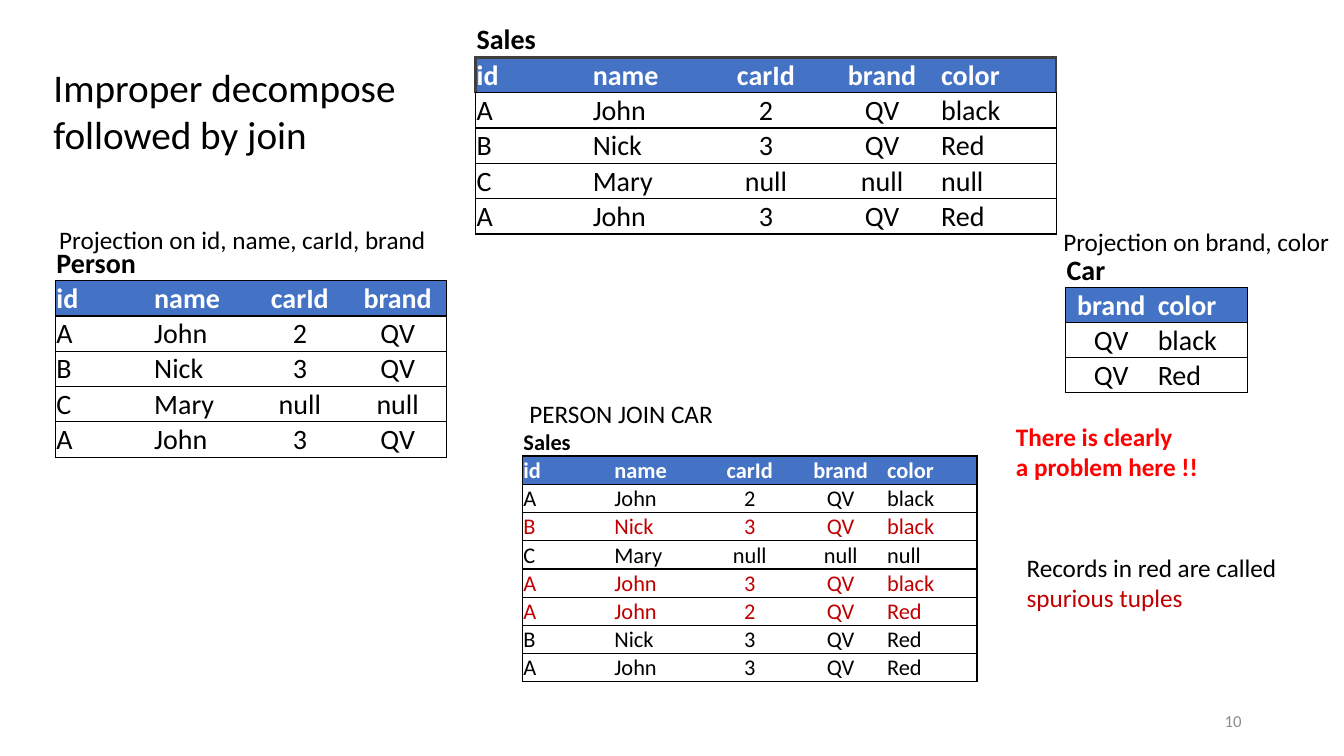
from pptx import Presentation
from pptx.dml.color import RGBColor
from pptx.enum.text import MSO_ANCHOR as Anchor, MSO_AUTO_SIZE as AutoSize, PP_ALIGN as Align
from pptx.oxml.xmlchemy import OxmlElement
from pptx.util import Pt

FONT = "Calibri"
BLACK, WHITE, BLUE = "000000", "FFFFFF", "4472C4"
DARK_RED, RED, GRAY, CHARCOAL = "C00000", "FF0000", "8C8C8C", "3F3F3F"
PLAIN_STYLE = "{2D5ABB26-0587-4C30-8999-92F81FD0307C}"
CENTERED = {"carId", "brand"}

PERSON = [
    ("id", "name", "carId", "brand"),
    ("A", "John", "2", "QV"),
    ("B", "Nick", "3", "QV"),
    ("C", "Mary", "null", "null"),
    ("A", "John", "3", "QV"),
]
CAR = [("brand", "color"), ("QV", "black"), ("QV", "Red")]
COLORS = ("color", "black", "Red", "null", "Red")
SALES = [row + (color,) for row, color in zip(PERSON, COLORS)]
JOINED = [
    ("id", "name", "carId", "brand", "color"),
    ("A", "John", "2", "QV", "black"),
    ("B", "Nick", "3", "QV", "black"),
    ("C", "Mary", "null", "null", "null"),
    ("A", "John", "3", "QV", "black"),
    ("A", "John", "2", "QV", "Red"),
    ("B", "Nick", "3", "QV", "Red"),
    ("A", "John", "3", "QV", "Red"),
]
SPURIOUS_ROWS = {2, 4, 5}


def rgb(color):
    return RGBColor.from_string(color)


def set_font(para, size, color, bold=False):
    font = para.font
    font.name, font.size, font.bold = FONT, Pt(size), bold
    font.color.rgb = rgb(color)


def add_border(cell, side, color, width):
    line = OxmlElement(f"a:ln{side}")
    line.set("w", str(Pt(width)))
    fill = OxmlElement("a:solidFill")
    shade = OxmlElement("a:srgbClr")
    shade.set("val", color)
    fill.append(shade)
    line.append(fill)
    cell._tc.get_or_add_tcPr().append(line)


def fill_cell(cell, text, size, color, bold, centered):
    cell.margin_left = cell.margin_right = cell.margin_top = Pt(0.72)
    cell.margin_bottom = 0
    cell.vertical_anchor = Anchor.BOTTOM
    para = cell.text_frame.paragraphs[0]
    para.text = text
    para.alignment = Align.CENTER if centered else Align.LEFT
    set_font(para, size, color, bold)
    if not text:
        # An empty cell takes its line height from the end mark
        end_mark = OxmlElement("a:endParaRPr")
        end_mark.set("sz", str(size * 100))
        para._p.append(end_mark)


def add_relation(page, name, rows, left, top, width, row_height, size,
                 red_rows=(), header_line=(BLACK, 1)):
    """A table with its name in the first row and its columns in the second."""
    columns = rows[0]
    last = len(columns) - 1
    grid = [(name,) + ("",) * last] + rows
    frame = page.shapes.add_table(len(grid), len(columns), Pt(left), Pt(top),
                                  Pt(width), Pt(row_height * len(grid)))
    table = frame.table
    table.first_row = table.horz_banding = False
    table._tbl.tblPr.find("{*}tableStyleId").text = PLAIN_STYLE

    for r, row in enumerate(grid):
        is_name, is_header = r == 0, r == 1
        color = WHITE if is_header else DARK_RED if r - 1 in red_rows else BLACK
        top_line = header_line if is_header else (BLACK, 1)
        bottom_line = header_line if is_name else (BLACK, 1)
        for c, text in enumerate(row):
            cell = table.cell(r, c)
            fill_cell(cell, text, size, color, r < 2,
                      not is_name and columns[c] in CENTERED)
            # Borders: outer sides and every row line
            if not is_name:
                if c == 0:
                    add_border(cell, "L", *top_line)
                if c == last:
                    add_border(cell, "R", *top_line)
                add_border(cell, "T", *top_line)
            add_border(cell, "B", *bottom_line)
            if is_header:
                cell.fill.solid()
                cell.fill.fore_color.rgb = rgb(BLUE)
            else:
                cell.fill.background()


def add_label(page, left, top, width, height, lines, bold=False):
    """A text box of (text, color) lines that does not wrap."""
    box = page.shapes.add_textbox(Pt(left), Pt(top), Pt(width), Pt(height))
    frame = box.text_frame
    frame.word_wrap = False
    frame.auto_size = AutoSize.SHAPE_TO_FIT_TEXT
    for i, (text, color) in enumerate(lines):
        para = frame.add_paragraph() if i else frame.paragraphs[0]
        para.text = text
        set_font(para, 18, color, bold)


def add_title(page, text):
    title = page.shapes.title
    title.left, title.top, title.width, title.height = Pt(31), Pt(41.8), Pt(267), Pt(75)
    frame = title.text_frame
    frame.word_wrap = True
    frame.auto_size = AutoSize.NONE
    frame.vertical_anchor = Anchor.TOP
    para = frame.paragraphs[0]
    para.text = text
    para.alignment = Align.LEFT
    set_font(para, 28, BLACK)


def add_page_number(page, number):
    box = page.shapes.add_textbox(Pt(678), Pt(500.5), Pt(216), Pt(28.75))
    box.text_frame.word_wrap = True
    box.text_frame.vertical_anchor = Anchor.MIDDLE
    para = box.text_frame.paragraphs[0]
    para.text = number
    para.alignment = Align.RIGHT
    set_font(para, 12, GRAY)


def main():
    deck = Presentation()
    deck.slide_width, deck.slide_height = Pt(960), Pt(540)
    page = deck.slides.add_slide(deck.slide_layouts[5])

    add_title(page, "Improper decompose followed by join")

    # Relation before the split
    add_relation(page, "Sales", SALES, 339.75, 15.8, 414.75, 25, 20,
                 header_line=(CHARCOAL, 2))

    # The two projections
    add_relation(page, "Person", PERSON, 39.6, 175.2, 279.4, 25, 20)
    add_label(page, 35.2, 157, 279.4, 29, [("Projection on id, name, carId, brand", BLACK)])
    add_relation(page, "Car", CAR, 761.2, 180.6, 130.2, 25, 20)
    add_label(page, 752.4, 158, 207.4, 29, [("Projection on brand, color", BLACK)])

    # Their join, with the spurious rows in red
    add_label(page, 371, 281, 147.6, 29, [("PERSON JOIN CAR", BLACK)])
    add_relation(page, "Sales", JOINED, 373.2, 305.6, 324.8, 20.16, 16, SPURIOUS_ROWS)

    # Remarks
    add_label(page, 718.6, 297.4, 145.4, 51,
              [("There is clearly", RED), ("a problem here !!", RED)], bold=True)
    add_label(page, 726.2, 391, 199.4, 51,
              [("Records in red are called", BLACK), ("spurious tuples", DARK_RED)])

    add_page_number(page, "10")
    deck.save("out.pptx")


if __name__ == "__main__":
    main()
